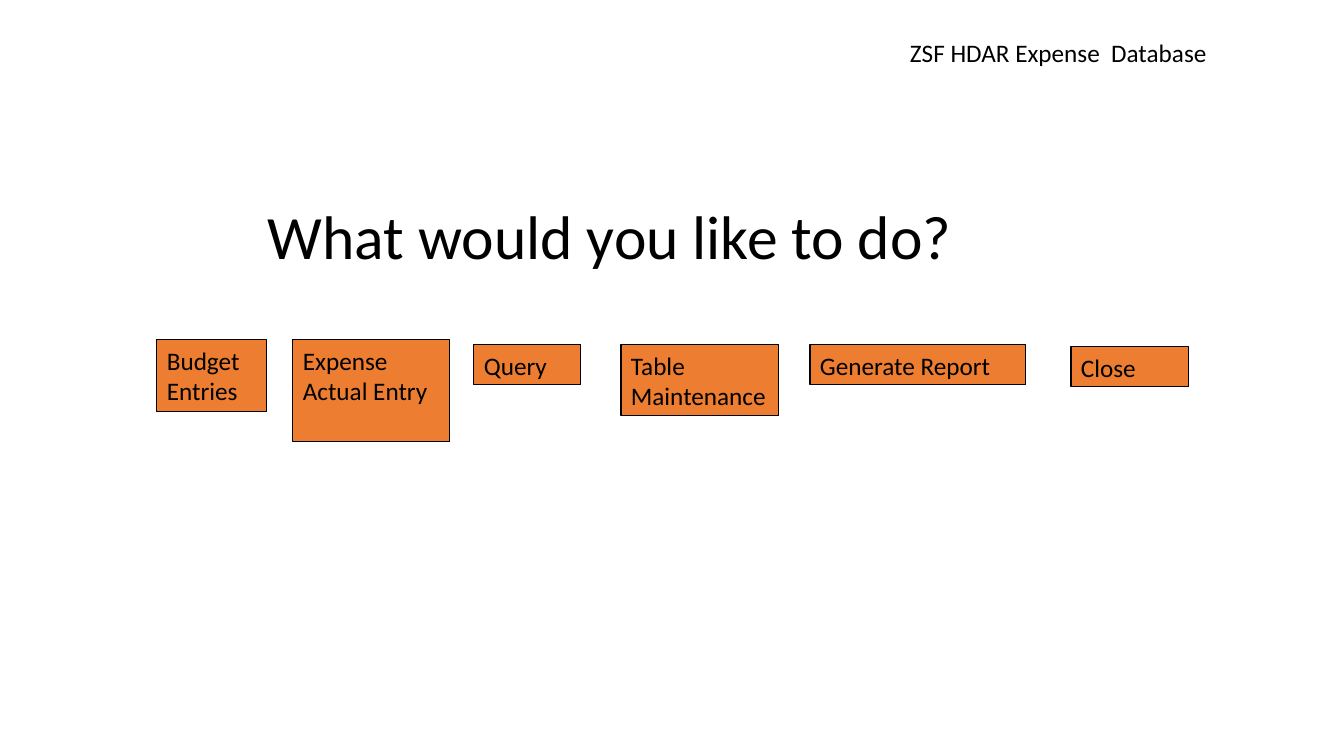
from dataclasses import dataclass

from pptx import Presentation
from pptx.dml.color import RGBColor
from pptx.enum.shapes import MSO_SHAPE
from pptx.enum.text import MSO_ANCHOR as Anchor, PP_ALIGN as Align
from pptx.util import Emu, Pt

PX = 914400 / 100.8  # EMU per pixel

HEADER = ("ZSF HDAR Expense  Database", (900, 32, 363, 40))
QUESTION = ("What would you like to do? ", (215, 213, 804, 53))
BUTTONS = [  # label, (left, top, width, height)
    ("Budget Entries", (157, 340, 110, 72)),
    ("Expense Actual Entry", (293, 340, 157, 102)),
    ("Query", (474, 345, 107, 40)),
    ("Table Maintenance", (621, 345, 158, 71)),
    ("Generate Report", (810, 345, 216, 40)),
    ("Close", (1071, 347, 118, 40)),
]


@dataclass(frozen=True)
class Theme:
    """Colours and type sizes of the slide."""
    font: str = "Calibri"
    ink: RGBColor = RGBColor(0, 0, 0)
    button: RGBColor = RGBColor(0xED, 0x7D, 0x31)
    title_size: Pt = Pt(44)
    body_size: Pt = Pt(18)
    outline: Pt = Pt(0.75)


THEME = Theme()


def emu(box):
    """Turn pixel lengths into EMU."""
    return [Emu(round(length * PX)) for length in box]


def write(shape, words, size=THEME.body_size, align=Align.LEFT, anchor=Anchor.TOP):
    """Set the words of a shape and format them."""
    frame = shape.text_frame
    frame.word_wrap = True
    frame.vertical_anchor = anchor
    frame.text = words
    line = frame.paragraphs[0]
    line.alignment = align
    font = line.runs[0].font
    font.name, font.size, font.color.rgb = THEME.font, size, THEME.ink
    return line


def add_button(slide, label, box):
    """Draw one outlined menu button."""
    button = slide.shapes.add_shape(MSO_SHAPE.RECTANGLE, *emu(box))
    button.shadow.inherit = False
    button.fill.solid()
    button.fill.fore_color.rgb = THEME.button
    button.line.color.rgb = THEME.ink
    button.line.width = THEME.outline
    write(button, label)


def main():
    """Build the menu slide and save it."""
    deck = Presentation()
    deck.slide_width, deck.slide_height = emu((1344, 756))
    slide = deck.slides.add_slide(deck.slide_layouts[6])

    words, box = QUESTION
    question = write(slide.shapes.add_textbox(*emu(box)), words,
                     THEME.title_size, Align.CENTER, Anchor.MIDDLE)
    question.line_spacing = 0.9

    words, box = HEADER
    write(slide.shapes.add_textbox(*emu(box)), words)

    for label, box in BUTTONS:
        add_button(slide, label, box)
    deck.save("out.pptx")


main()
